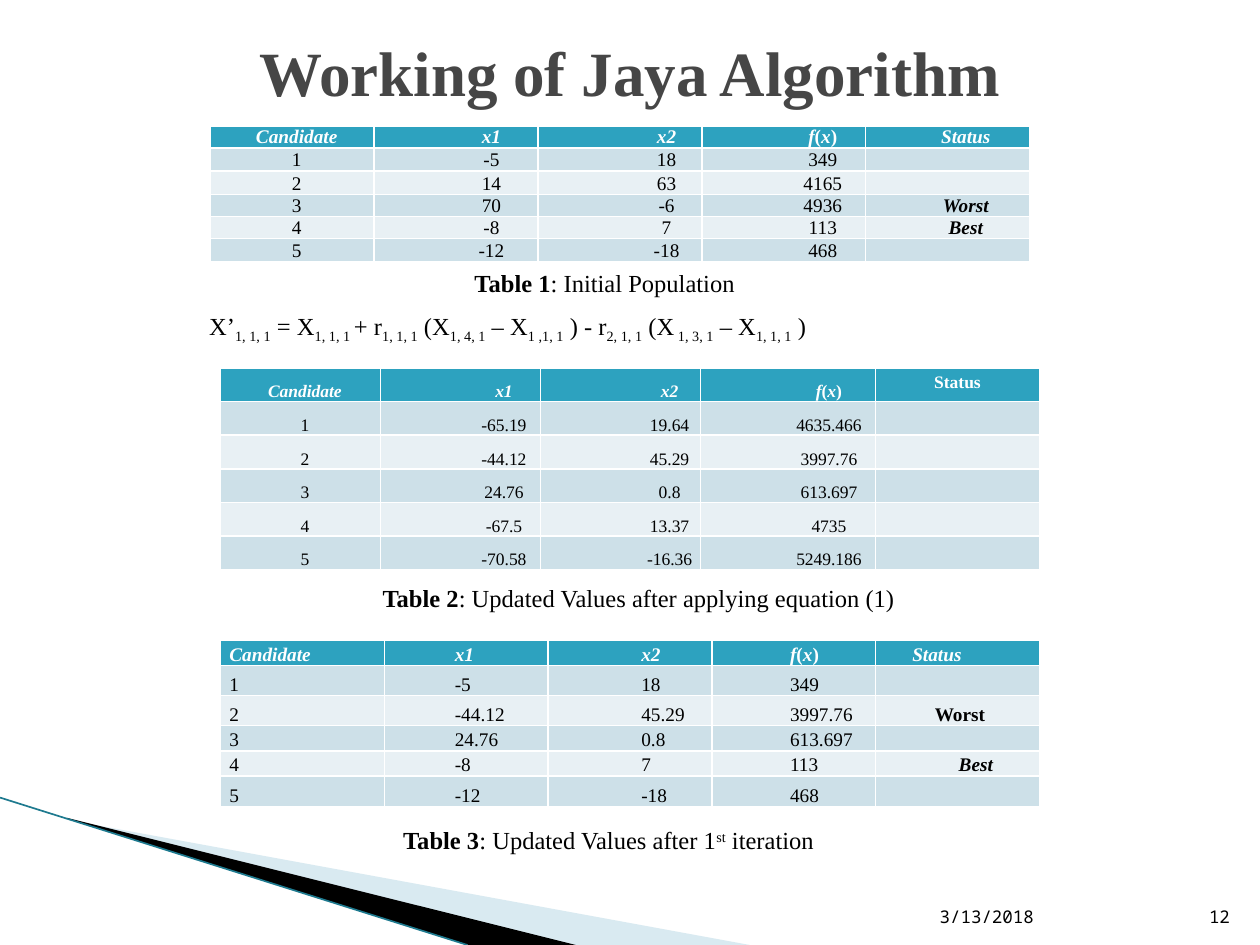
from lxml import etree
from pptx import Presentation, util as u
from pptx.dml.color import RGBColor
from pptx.enum import shapes, text
from pptx.oxml import ns

SERIF = "Times New Roman"
MONO = "Noto Sans Mono"
BLACK = RGBColor(0x00, 0x00, 0x00)
WHITE = RGBColor(0xFF, 0xFF, 0xFF)
TITLE_GREY = RGBColor(0x46, 0x46, 0x46)
HEADER = RGBColor(0x2D, 0xA2, 0xBF)
BAND_DARK = RGBColor(0xCD, 0xE0, 0xE8)
BAND_LIGHT = RGBColor(0xE8, 0xF0, 0xF4)
WEDGE_BLUE = RGBColor(0xA0, 0xCB, 0xDC)
EDGE_TEAL = RGBColor(0x1E, 0x7A, 0x8F)

GRID_COLUMNS, GRID_ROWS = 100, 75
UNIT = u.Inches(0.1)
LEFT, CENTER, RIGHT = text.PP_ALIGN.LEFT, text.PP_ALIGN.CENTER, text.PP_ALIGN.RIGHT
TOP, MIDDLE, BOTTOM = text.MSO_ANCHOR.TOP, text.MSO_ANCHOR.MIDDLE, text.MSO_ANCHOR.BOTTOM

BOLD_ITALIC = {"bold": True, "italic": True}
FUNCTION = [("f", {}), ("(", {"italic": False}), ("x", {}), (")", {"italic": False})]
HEADINGS = ["Candidate", "x1", "x2", FUNCTION, "Status"]
WORST = [("Worst", BOLD_ITALIC)]
BEST = [("Best", BOLD_ITALIC)]
SECOND_WORST = [("\u00a0", {}), ("Worst", {"bold": True})]

INITIAL = [
    ["1", "-5", "18", "349", ""],
    ["2", "14", "63", "4165", ""],
    ["3", "70", "-6", "4936", WORST],
    ["4", "-8", "7", "113", BEST],
    ["5", "-12", "-18", "468", ""],
]
UPDATED = [
    ["1", "-65.19", "19.64", "4635.466", ""],
    ["2", "-44.12", "45.29", "3997.76", ""],
    ["3", "24.76", "0.8", "613.697", ""],
    ["4", "-67.5", "13.37", "4735", ""],
    ["5", "-70.58", "-16.36", "5249.186", ""],
]
ITERATED = [
    INITIAL[0],
    UPDATED[1][:4] + [SECOND_WORST],
    UPDATED[2],
    INITIAL[3],
    INITIAL[4],
]
EQUATION = [
    ("X’", "1, 1, 1"), (" = X", "1, 1, 1 "), ("+ r", "1, 1, 1"),
    (" (X", "1, 4, 1"), (" – X", "1 ,1, 1"), (" ) - r", "2, 1, 1"),
    (" (X", " 1, 3, 1"), (" – X", "1, 1, 1"), (" )", ""),
]


def grid(*units):
    return [round(unit * UNIT) for unit in units]


def write(paragraph, content, size, color, font=SERIF, alignment=LEFT, **emphasis):
    paragraph.alignment = alignment
    paragraph.font.name = font
    paragraph.font.size = u.Pt(size)
    paragraph.font.color.rgb = color
    for name, value in emphasis.items():
        setattr(paragraph.font, name, value)
    pieces = [(content, {})] if isinstance(content, str) else content
    for words, style in pieces:
        if not words:
            continue
        run = paragraph.add_run()
        run.text = words
        for name, value in style.items():
            if name == "baseline":
                run._r.get_or_add_rPr().set("baseline", str(value * 1000))
            else:
                setattr(run.font, name, value)


def add_text(slide, box, content, size, color=BLACK, anchor=TOP, wrap=True, **style):
    frame = slide.shapes.add_textbox(*grid(*box)).text_frame
    frame.word_wrap = wrap
    frame.vertical_anchor = anchor
    write(frame.paragraphs[0], content, size, color, **style)
    return frame


def add_caption(slide, box, number, pieces, wrap=False):
    label = (f"Table {number}", {"bold": True})
    add_text(slide, box, [label] + pieces, 14, wrap=wrap, alignment=CENTER)


def add_equation(slide, box):
    pieces = []
    for words, subscript in EQUATION:
        pieces += [(words, {}), (subscript, {"baseline": -25})]
    add_text(slide, box, pieces, 14).margin_left = grid(4.1)[0]


def fill_cell(cell, content, fill, indent, spacing, **style):
    cell.fill.solid()
    cell.fill.fore_color.rgb = fill
    cell.vertical_anchor = BOTTOM
    cell.margin_left = cell.margin_right = cell.margin_top = cell.margin_bottom = 0
    paragraph = cell.text_frame.paragraphs[0]
    write(paragraph, content, **style)
    paragraph.line_spacing = u.Pt(spacing)
    paragraph._p.get_or_add_pPr().set("marL", str(grid(indent)[0]))


def add_population(slide, box, records, widths, heights, indents, size, spacing, alignment):
    rows = [HEADINGS] + records
    table = slide.shapes.add_table(len(rows), len(HEADINGS), *grid(*box)).table
    for column, width in zip(table.columns, grid(*widths)):
        column.width = width
    for row, height in zip(table.rows, grid(*heights)):
        row.height = height
    for r, record in enumerate(rows):
        fill = HEADER if r == 0 else (BAND_LIGHT, BAND_DARK)[r % 2]
        color = WHITE if r == 0 else BLACK
        for c, content in enumerate(record):
            status = r > 0 and c == len(HEADINGS) - 1
            fill_cell(
                table.cell(r, c), content, fill,
                0 if content is SECOND_WORST else indents[c], spacing,
                size=size, color=color, bold=r == 0, italic=r == 0,
                alignment=CENTER if status else alignment,
            )
    return table


def add_wedge(slide, points, color, opacity):
    start, *others = [grid(*point) for point in points]
    builder = slide.shapes.build_freeform(*start)
    builder.add_line_segments(others, close=True)
    shape = builder.convert_to_shape()
    shape.shadow.inherit = False
    shape.line.fill.background()
    shape.fill.solid()
    shape.fill.fore_color.rgb = color
    if opacity < 100:
        tint = shape.fill._xPr.find(".//" + ns.qn("a:srgbClr"))
        etree.SubElement(tint, ns.qn("a:alpha")).set("val", str(opacity * 1000))


def add_corner(slide, left, top, bottom):
    add_wedge(slide, [(5.5, 65.1), (59.5, bottom), (45.6, bottom), (5.5, 65)], WEDGE_BLUE, 40)
    add_wedge(slide, [(5.3, 64.9), (45.7, bottom), (37.2, bottom), (5.4, 65)], BLACK, 100)
    edge = slide.shapes.add_connector(
        shapes.MSO_CONNECTOR.STRAIGHT, *grid(left, top, 37.1, bottom))
    edge.line.color.rgb = EDGE_TEAL
    edge.line.width = u.Pt(0.95)
    etree.SubElement(edge._element.spPr, ns.qn("a:effectLst"))


def main():
    presentation = Presentation()
    presentation.slide_width, presentation.slide_height = grid(GRID_COLUMNS, GRID_ROWS)
    slide = presentation.slides.add_slide(presentation.slide_layouts[6])

    add_corner(slide, 0, 63.3, GRID_ROWS)
    add_text(slide, (5, 3, 90, 5.4), "Working of Jaya Algorithm", 36, TITLE_GREY,
             MIDDLE, alignment=CENTER, bold=True)

    even, indents = [13] * 5, [0.7, 5.6, 7.4, 6.2, 2.9]
    add_population(slide, (16.7, 10, 65, 10.5), INITIAL, even, [1.75] * 6,
                   indents, 11, 10.6, CENTER)
    add_caption(slide, (31.7, 20.8, 32.6, 3.4), 1, [(": Initial Population", {})], True)

    add_equation(slide, (12.5, 24.2, 75.8, 5.7))

    updated = add_population(slide, (17.5, 29.2, 65, 16), UPDATED,
                             [12.7, 12.7, 12.7, 13.9, 13], [2.67] * 6,
                             [0.7, 6.9, 7.8, 6.5, 0], 10, 10.5, CENTER)
    status = updated.cell(0, 4)
    status.vertical_anchor = TOP
    status.margin_top = grid(0.5)[0]
    status.text_frame.paragraphs[0].font.italic = False
    add_caption(slide, (29.2, 45.8, 43, 3.4), 2,
                [(": Updated Values after applying equation (1)", {})])

    add_population(slide, (17.5, 50.8, 65, 13.3), ITERATED, even,
                   [2, 2.4, 2.4, 2, 2, 2.4], indents, 11, 10.6, LEFT)
    add_caption(slide, (30.8, 65, 35, 3.4), 3,
                [(": Updated Values after 1", {}), ("st", {"baseline": 30}), (" iteration", {})])

    add_text(slide, (73.6, 70.1, 21, 4), "3/13/2018", 10, anchor=BOTTOM, font=MONO)
    add_text(slide, (94.6, 70.1, 4, 4), "12", 10, anchor=BOTTOM, font=MONO, alignment=RIGHT)
    presentation.save("out.pptx")


if __name__ == "__main__":
    main()
